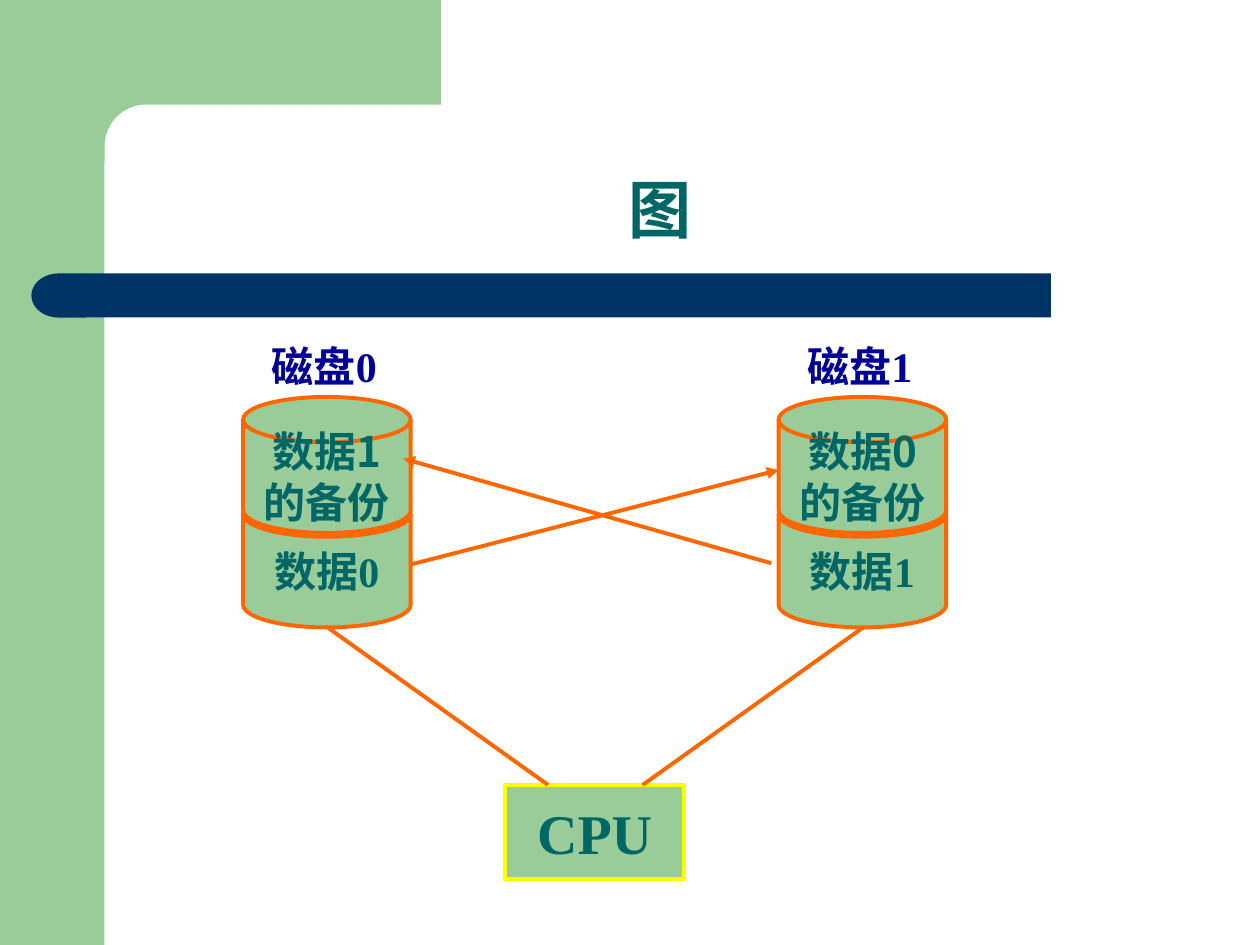
from dataclasses import dataclass
from math import cos, pi, sin

from lxml import etree
from pptx import Presentation
from pptx.dml.color import RGBColor
from pptx.enum.shapes import MSO_CONNECTOR, MSO_SHAPE
from pptx.enum.text import MSO_ANCHOR, PP_ALIGN
from pptx.oxml.ns import qn
from pptx.util import Inches, Pt

RECT = MSO_SHAPE.RECTANGLE
DELAY = MSO_SHAPE.FLOWCHART_DELAY
DISK = MSO_SHAPE.FLOWCHART_MAGNETIC_DISK
STRAIGHT = MSO_CONNECTOR.STRAIGHT
CENTER = PP_ALIGN.CENTER
MIDDLE, BOTTOM = MSO_ANCHOR.MIDDLE, MSO_ANCHOR.BOTTOM


@dataclass(frozen=True)
class Theme:
    green: RGBColor = RGBColor(0x99, 0xCC, 0x99)
    navy: RGBColor = RGBColor(0x00, 0x33, 0x66)
    teal: RGBColor = RGBColor(0x00, 0x66, 0x66)
    blue: RGBColor = RGBColor(0x00, 0x00, 0x99)
    orange: RGBColor = RGBColor(0xFF, 0x66, 0x00)
    yellow: RGBColor = RGBColor(0xFF, 0xFF, 0x00)
    serif: str = "Times New Roman"
    sans: str = "Arial"
    chinese: str = "Noto Sans CJK SC"
    title: Pt = Pt(36)
    cpu: Pt = Pt(32)
    label: Pt = Pt(24)
    stroke: Pt = Pt(2.25)


theme = Theme()


def paint(shape, fill, line=None):
    shape.shadow.inherit = False
    shape.fill.solid()
    shape.fill.fore_color.rgb = fill
    if line is None:
        shape.line.fill.background()
    else:
        shape.line.color.rgb = line
        shape.line.width = theme.stroke


def write(shape, lines, size, color, latin=theme.serif, anchor=MIDDLE, wrap=False):
    """Fill the shape with centred bold lines, one paragraph each."""
    frame = shape.text_frame
    frame.word_wrap = wrap
    frame.vertical_anchor = anchor
    for index, line in enumerate(lines):
        paragraph = frame.add_paragraph() if index else frame.paragraphs[0]
        paragraph.alignment = CENTER
        run = paragraph.add_run()
        run.text = line
        formats = {"size": size, "bold": True, "name": latin}
        for attribute, value in formats.items():
            setattr(run.font, attribute, value)
        run.font.color.rgb = color
        east_asian = etree.SubElement(run.font._element, qn("a:ea"))
        east_asian.set("typeface", theme.chinese)


prs = Presentation()
prs.slide_width, prs.slide_height = Inches(10), Inches(7.5)
slide = prs.slides.add_slide(prs.slide_layouts[6])
shapes = slide.shapes

# Green frame with a rounded inner corner
side_band = shapes.add_shape(RECT, 0, 0, Inches(0.83), Inches(7.5))
paint(side_band, theme.green)

radius, steps = 0.33, 16
corner = [
    (1.16 - radius * sin(i / steps * pi / 2), 1.16 - radius * cos(i / steps * pi / 2))
    for i in range(steps + 1)
]
outline = [(3.5, 0.83), *corner, (0.83, 1.28), (0.5, 1.28), (0.5, 0)]
builder = shapes.build_freeform(Inches(3.5), 0, scale=1.0)
builder.add_line_segments([(Inches(x), Inches(y)) for x, y in outline], close=True)
paint(builder.convert_to_shape(), theme.green)

# Navy bar with a round left end
bar = shapes.add_shape(RECT, Inches(0.67), Inches(2.17), Inches(7.67), Inches(0.35))
bar_end = shapes.add_shape(DELAY, Inches(0.25), Inches(2.17), Inches(0.43), Inches(0.35))
bar_end._element.spPr.find(qn("a:xfrm")).set("flipH", "1")
for part in (bar, bar_end):
    paint(part, theme.navy)

# Two disks, each holding its own data below a backup of the other's
DISK_WIDTH, DISK_HEIGHT = 1.33, 1.08
for number, left in enumerate((1.93, 6.18)):
    halves = (
        (3.9, [f"数据{number}"], theme.serif),
        (3.15, [f"数据{1 - number}", "的备份"], theme.chinese),
    )
    for top, lines, latin in halves:
        half = shapes.add_shape(
            DISK, Inches(left), Inches(top), Inches(DISK_WIDTH), Inches(DISK_HEIGHT)
        )
        paint(half, theme.green, theme.orange)
        write(half, lines, theme.label, theme.teal, latin)
    caption = shapes.add_textbox(
        Inches(left + 0.09), Inches(2.65), Inches(1.11), Inches(0.5)
    )
    write(caption, [f"磁盘{number}"], theme.label, theme.blue)

cpu = shapes.add_shape(RECT, Inches(4.01), Inches(6.23), Inches(1.42), Inches(0.75))
paint(cpu, theme.green, theme.yellow)
write(cpu, ["CPU"], theme.cpu, theme.teal)

# Backup arrows between the disks, plain lines from the CPU
links = (
    ((6.12, 4.47), (3.2, 3.64), True),
    ((3.26, 4.48), (6.18, 3.73), True),
    ((4.35, 6.23), (2.6, 4.98), False),
    ((5.1, 6.23), (6.85, 4.98), False),
)
for start, end, has_arrow in links:
    link = shapes.add_connector(STRAIGHT, *(Inches(v) for v in start + end))
    link.line.color.rgb = theme.orange
    link.line.width = theme.stroke
    if has_arrow:
        etree.SubElement(link.line._get_or_add_ln(), qn("a:tailEnd")).set("type", "triangle")
    etree.SubElement(link._element.spPr, qn("a:effectLst"))

title = shapes.add_textbox(Inches(0.98), Inches(0.92), Inches(8.51), Inches(1.09))
write(title, ["图"], theme.title, theme.teal, theme.sans, BOTTOM, wrap=True)
title.text_frame.paragraphs[0].line_spacing = 0.9

prs.save("out.pptx")
